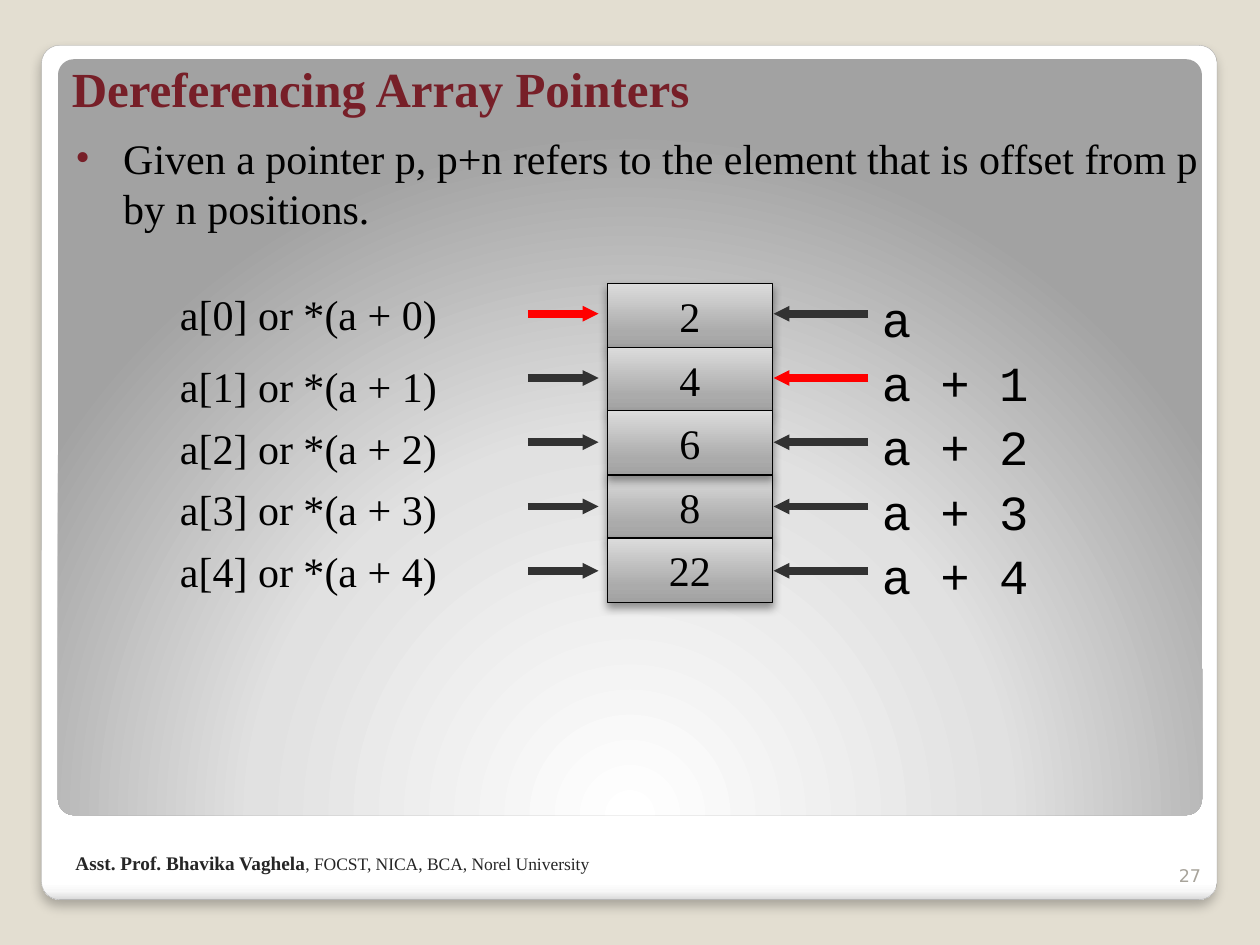
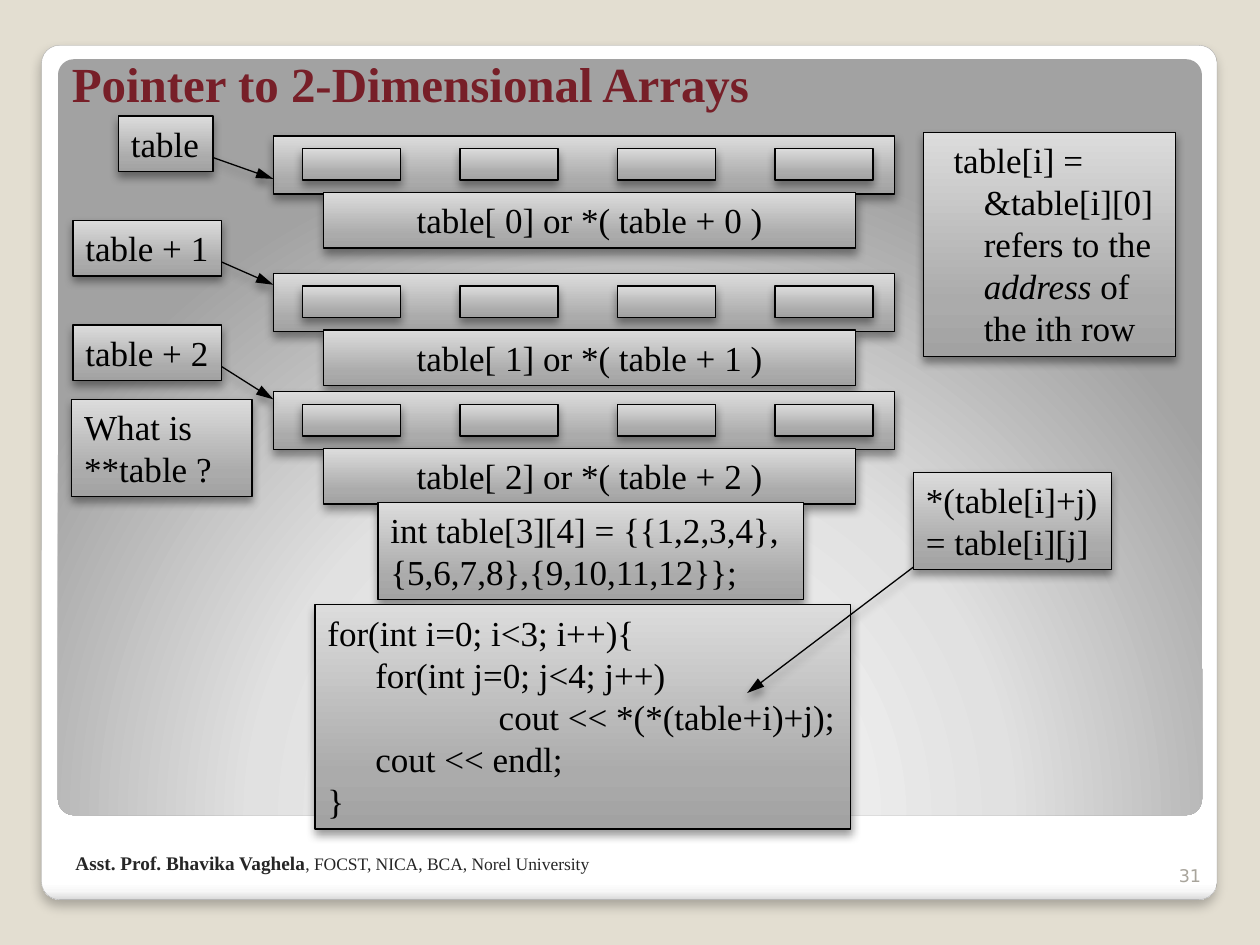
from lxml import etree
from pptx import Presentation
from pptx.dml.color import RGBColor
from pptx.enum import shapes, text
from pptx.oxml import ns, parse_xml
from pptx.util import Inches, Pt

BACKGROUND = RGBColor(0xE3, 0xDE, 0xD1)
MAROON = RGBColor(0x77, 0x1F, 0x28)
BLACK = RGBColor(0, 0, 0)
RED = RGBColor(0xFF, 0, 0)
CHARCOAL = RGBColor(0x32, 0x32, 0x32)
FRAME_LINE = RGBColor(0xA4, 0xA4, 0xA4)
FOOTER_TEXT = RGBColor(0x26, 0x26, 0x26)
NUMBER_TEXT = RGBColor(0xA8, 0xA4, 0x9B)

SERIF = "Times New Roman"
MONO = "Courier New"
SANS = "DejaVu Sans"

UPWARD = '<a:lin ang="16200000" scaled="0"/>'
DOWNWARD = '<a:lin ang="5400000" scaled="0"/>'
GLOW = ('<a:path path="circle"><a:fillToRect l="50000" t="175000" '
        'r="50000" b="-75000"/></a:path>')
FRAME_STOPS = [(0, "FFFFFF"), (98, "FFFFFF"), (99, "F7F7F7"), (100, "DADADA")]
PANEL_STOPS = [(0, "FFFFFF"), (55, "E1E1E1"), (100, "A2A2A2")]
BOX_STOPS = [(0, "A2A2A2"), (25, "ABABAB"), (100, "DCDCDC")]
FRAME_SHADOW = (25, 6, 4)
BOX_SHADOW = (40, 5.2, 3)
HANGING = (0.38, -0.38)


def set_gradient(shape, stops, direction):
    shape.fill.background()
    properties = shape.element.spPr
    stop_xml = "".join(
        f'<a:gs pos="{position * 1000}"><a:srgbClr val="{color}"/></a:gs>'
        for position, color in stops)
    gradient = parse_xml(
        f'<a:gradFill {ns.nsdecls("a")} rotWithShape="1">'
        f'<a:gsLst>{stop_xml}</a:gsLst>{direction}</a:gradFill>')
    properties.replace(properties.find(ns.qn("a:noFill")), gradient)


def set_shadow(effects, opacity, blur, distance):
    shadow = etree.SubElement(
        effects, ns.qn("a:outerShdw"), blurRad=str(Pt(blur)),
        dist=str(Pt(distance)), dir="5400000", algn="ctr", rotWithShape="0")
    color = etree.SubElement(shadow, ns.qn("a:srgbClr"), val="000000")
    etree.SubElement(color, ns.qn("a:alpha"), val=str(opacity * 1000))


def add_panel(slide, bounds, stops, direction, kind=shapes.MSO_SHAPE.RECTANGLE,
              line=None, width=0.75, shadow=None):
    panel = slide.shapes.add_shape(kind, *map(Inches, bounds))
    panel.shadow.inherit = False
    set_gradient(panel, stops, direction)
    if line is None:
        panel.line.fill.background()
    else:
        panel.line.color.rgb = line
        panel.line.width = Pt(width)
    if shadow:
        set_shadow(panel.element.spPr.find(ns.qn("a:effectLst")), *shadow)
    return panel


def format_font(font, name, size, color, bold=None):
    font.name = name
    font.size = Pt(size)
    font.color.rgb = color
    font.bold = bold


def set_indent(paragraph, margin, first_line):
    properties = paragraph._p.get_or_add_pPr()
    properties.set("marL", str(Inches(margin)))
    properties.set("indent", str(Inches(first_line)))


def write_lines(shape, lines, name=SERIF, size=20, wrap=True, grow=True,
                align=text.PP_ALIGN.LEFT, anchor=text.MSO_ANCHOR.TOP,
                indent=HANGING, color=BLACK):
    frame = shape.text_frame
    frame.word_wrap = wrap
    frame.vertical_anchor = anchor
    if grow:
        frame.auto_size = text.MSO_AUTO_SIZE.SHAPE_TO_FIT_TEXT
    frame.text = lines
    for paragraph in frame.paragraphs:
        paragraph.alignment = align
        set_indent(paragraph, *indent)
        format_font(paragraph.font, name, size, color)
    return frame


def add_box(slide, bounds, lines=None, **style):
    box = add_panel(slide, bounds, BOX_STOPS, UPWARD, line=BLACK,
                    shadow=BOX_SHADOW)
    if lines:
        write_lines(box, lines, **style)
    return box


def add_label(slide, bounds, lines, **style):
    label = slide.shapes.add_textbox(*map(Inches, bounds))
    return write_lines(label, lines, **style)


def add_arrow(slide, start, end, color=BLACK, width=0.75, head=("med", "lg"),
              shadow=None):
    arrow = slide.shapes.add_connector(
        shapes.MSO_CONNECTOR.STRAIGHT, *map(Inches, (*start, *end)))
    arrow.line.color.rgb = color
    arrow.line.width = Pt(width)
    head_width, head_length = head
    etree.SubElement(arrow.line._get_or_add_ln(), ns.qn("a:tailEnd"),
                     type="triangle", w=head_width, len=head_length)
    effects = etree.SubElement(arrow.element.spPr, ns.qn("a:effectLst"))
    if shadow:
        set_shadow(effects, *shadow)


def add_thick_arrow(slide, start, end, color):
    add_arrow(slide, start, end, color, 4.5, ("sm", "sm"))


def add_bullet(paragraph, color):
    properties = paragraph._p.get_or_add_pPr()
    bullet_color = etree.SubElement(properties, ns.qn("a:buClr"))
    etree.SubElement(bullet_color, ns.qn("a:srgbClr"), val=str(color))
    etree.SubElement(properties, ns.qn("a:buFont"), typeface=SERIF)
    etree.SubElement(properties, ns.qn("a:buChar"), char="•")


def add_footer(slide, number):
    add_label(slide, (9.13, 6.68, 0.5, 0.4), str(number), name=SANS, size=10,
              grow=False, align=text.PP_ALIGN.RIGHT,
              anchor=text.MSO_ANCHOR.BOTTOM, indent=(0, 0), color=NUMBER_TEXT)
    frame = add_label(slide, (0.5, 6.67, 4.58, 0.32), "", grow=False,
                      anchor=text.MSO_ANCHOR.BOTTOM, indent=(0, 0))
    author = frame.paragraphs[0].add_run()
    author.text = "Asst. Prof. Bhavika Vaghela"
    format_font(author.font, SERIF, 11, FOOTER_TEXT, True)
    school = frame.paragraphs[0].add_run()
    school.text = ", FOCST, NICA, BCA, Norel University"
    format_font(school.font, SERIF, 10, FOOTER_TEXT, False)


def add_framed_slide(presentation, heading, top, height, number):
    slide = presentation.slides.add_slide(presentation.slide_layouts[5])
    slide.background.fill.solid()
    slide.background.fill.fore_color.rgb = BACKGROUND
    rounded = shapes.MSO_SHAPE.ROUNDED_RECTANGLE
    outer = add_panel(slide, (0.33, 0.36, 9.33, 6.78), FRAME_STOPS, DOWNWARD,
                      rounded, FRAME_LINE, 0.16, FRAME_SHADOW)
    inner = add_panel(slide, (0.46, 0.47, 9.08, 6), PANEL_STOPS, GLOW, rounded)
    for panel in (outer, inner):
        panel.adjustments[0] = 0.021

    title = slide.shapes.title
    inner.element.addnext(title.element)
    title.left, title.top, title.width, title.height = map(
        Inches, (0.47, top, 8.95, height))
    title.text_frame.text = heading
    title.text_frame.vertical_anchor = text.MSO_ANCHOR.BOTTOM
    title.text_frame.auto_size = text.MSO_AUTO_SIZE.NONE
    paragraph = title.text_frame.paragraphs[0]
    paragraph.alignment = text.PP_ALIGN.LEFT
    format_font(paragraph.font, SERIF, 28, MAROON, True)
    add_footer(slide, number)
    return slide


def build_dereferencing(presentation):
    slide = add_framed_slide(presentation, "Dereferencing Array Pointers",
                             0, 0.98, 27)
    body = add_label(
        slide, (0.5, 1, 9.17, 5.62),
        "Given a pointer p, p+n refers to the element that is offset from p "
        "by n positions.", size=24, grow=False)
    add_bullet(body.paragraphs[0], MAROON)

    values = (2, 4, 6, 8, 22)
    for index in (0, 1, 3, 2, 4):
        add_box(slide, (4.82, 2.25 + 0.505 * index, 1.31, 0.51),
                str(values[index]), size=24, wrap=False, grow=False,
                align=text.PP_ALIGN.CENTER, anchor=text.MSO_ANCHOR.MIDDLE)

    element_tops = (2.24, 2.81, 3.3, 3.79, 4.28)
    for index, element_top in enumerate(element_tops):
        offset = 0.51 * index
        arrow_y = 2.49 + offset
        add_thick_arrow(slide, (4.19, arrow_y), (4.75, arrow_y),
                        RED if index == 0 else CHARCOAL)
        add_thick_arrow(slide, (6.89, arrow_y), (6.14, arrow_y),
                        RED if index == 1 else CHARCOAL)
        add_label(slide, (1.33, element_top, 2.85, 0.51),
                  f"a[{index}] or *(a + {index})", size=24)
        add_label(slide, (6.9, 2.24 + offset, 1.58, 0.57),
                  f"a + {index}" if index else "a", name=MONO, size=28)


def add_table_row(slide, index, top):
    add_box(slide, (2.17, top, 4.93, 0.46))
    for column in range(4):
        add_box(slide, (2.4 + 1.25 * column, top + 0.1, 0.78, 0.25))
    add_box(slide, (2.57, top + 0.45, 4.22, 0.44),
            f"table[ {index}] or *( table + {index} )",
            align=text.PP_ALIGN.CENTER)


def add_loop_code(slide):
    code = [("for(int i=0; i<3; i++){", 0),
            ("for(int j=0; j<4; j++)", 0.38),
            ("cout << *(*(table+i)+j);", 1.36),
            ("cout << endl;", 0.38),
            ("}", 0)]
    box = add_box(slide, (2.5, 4.8, 4.25, 1.78),
                  "\n".join(line for line, _ in code))
    for paragraph, (_, margin) in zip(box.text_frame.paragraphs, code):
        set_indent(paragraph, margin, 0)


def build_two_dimensional(presentation):
    slide = add_framed_slide(presentation, "Pointer to 2-Dimensional Arrays",
                             0.17, 0.77, 31)
    rows = [(1.08, "table", 0.94, 0.75, 1.42),
            (2.17, "table + 1", 0.58, 1.18, 2.26),
            (3.11, "table + 2", 0.58, 1.18, 3.17)]
    for index, (top, pointer, left, width, target) in enumerate(rows):
        pointer_top = 0.92 + 0.83 * index
        add_table_row(slide, index, top)
        add_arrow(slide, (left + width, pointer_top + 0.33), (2.17, target),
                  shadow=BOX_SHADOW)
        add_box(slide, (left, pointer_top, width, 0.44), pointer, wrap=False)

    add_box(slide, (3, 3.99, 3.38, 0.77),
            "int table[3][4] = {{1,2,3,4},\n{5,6,7,8},{9,10,11,12}};",
            wrap=False)
    add_loop_code(slide)
    add_arrow(slide, (7.25, 4.5), (5.93, 5.5), shadow=BOX_SHADOW)
    add_box(slide, (7.25, 3.75, 1.57, 0.77),
            "*(table[i]+j)\n= table[i][j]", wrap=False)
    add_box(slide, (0.57, 3.17, 1.43, 0.77), "What is\n**table ?")

    note = add_box(slide, (7.33, 1.05, 2, 1.78),
                   "table[i] = &table[i][0] refers to the ",
                   indent=(0.38, -0.24))
    paragraph = note.text_frame.paragraphs[0]
    for words, italic in (("address ", True), ("of the ith row", False)):
        run = paragraph.add_run()
        run.text = words
        run.font.italic = italic


def main():
    presentation = Presentation()
    presentation.slide_width = Inches(10)
    presentation.slide_height = Inches(7.5)
    build_dereferencing(presentation)
    build_two_dimensional(presentation)
    presentation.save("out.pptx")


if __name__ == "__main__":
    main()
